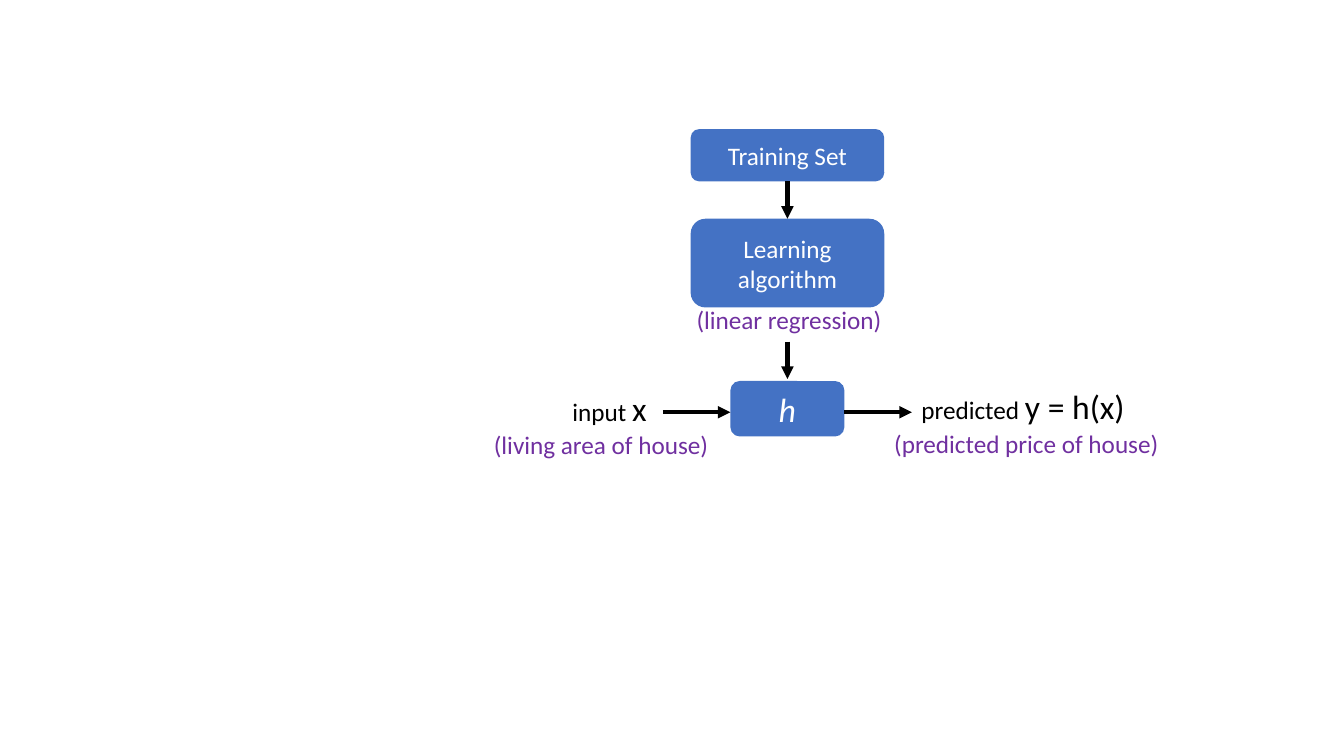
from lxml import etree
from pptx import Presentation
from pptx.dml.color import RGBColor
from pptx.enum import shapes, text
from pptx.oxml import ns
from pptx.util import Inches, Pt

FONT = "Calibri"
BLUE = RGBColor(0x44, 0x72, 0xC4)
PURPLE = RGBColor(0x70, 0x30, 0xA0)
BLACK = RGBColor(0, 0, 0)
WHITE = RGBColor(0xFF, 0xFF, 0xFF)

CENTER_X = 7.81  # axis of the vertical flow
FLOW_Y = 4.09    # axis of the input-to-output flow
ARROW_DOWN = 0.37
ARROW_ACROSS = 0.67

# Boxes: top, width, height, text, size, italic
BOXES = [
    (1.28, 1.92, 0.52, "Training Set", 18, False),
    (2.17, 1.92, 0.88, "Learning algorithm", 18, False),
    (3.78, 1.13, 0.55, "h", 24, True),
]
# Labels: left, top, width, height, colour, runs of (text, size)
LABELS = [
    (6.81, 2.97, 2.31, 0.4, PURPLE, [("(linear regression)", 18)]),
    (5.58, 3.8, 1.37, 0.5, BLACK, [("input ", 18), ("x", 24)]),
    (9.04, 3.78, 2.31, 0.5, BLACK, [("predicted ", 18), ("y = h(x)", 24)]),
    (4.8, 4.21, 2.44, 0.4, PURPLE, [("(living area of house)", 18)]),
    (8.77, 4.2, 2.95, 0.4, PURPLE, [("(predicted price of house)", 18)]),
]
DOWN_ARROW_TOPS = [1.8, 3.39]
HYPOTHESIS_WIDTH = BOXES[-1][1]
ACROSS_ARROW_LEFTS = [
    CENTER_X - HYPOTHESIS_WIDTH / 2 - ARROW_ACROSS,
    CENTER_X + HYPOTHESIS_WIDTH / 2,
]


def add_run(paragraph, words, size, color, italic=False):
    """Append one formatted run to a paragraph."""
    run = paragraph.add_run()
    run.text = words
    run.font.name = FONT
    run.font.size = Pt(size)
    run.font.color.rgb = color
    run.font.italic = italic


def add_box(slide, top, width, height, words, size, italic):
    """Add a rounded box centred on the vertical flow."""
    shape = slide.shapes.add_shape(
        shapes.MSO_SHAPE.ROUNDED_RECTANGLE, Inches(CENTER_X - width / 2),
        Inches(top), Inches(width), Inches(height))
    shape.shadow.inherit = False
    shape.fill.solid()
    shape.fill.fore_color.rgb = BLUE
    shape.line.fill.background()
    frame = shape.text_frame
    frame.word_wrap = True
    frame.vertical_anchor = text.MSO_ANCHOR.MIDDLE
    paragraph = frame.paragraphs[0]
    paragraph.alignment = text.PP_ALIGN.CENTER
    add_run(paragraph, words, size, WHITE, italic)


def add_label(slide, left, top, width, height, color, runs):
    """Add a text label made of runs of different sizes."""
    label = slide.shapes.add_textbox(
        Inches(left), Inches(top), Inches(width), Inches(height))
    frame = label.text_frame
    frame.word_wrap = True
    frame.auto_size = text.MSO_AUTO_SIZE.SHAPE_TO_FIT_TEXT
    for words, size in runs:
        add_run(frame.paragraphs[0], words, size, color)


def add_arrow(slide, left, top, across=0, down=0):
    """Add a straight black arrow of the given extent."""
    arrow = slide.shapes.add_connector(
        shapes.MSO_CONNECTOR.STRAIGHT, Inches(left), Inches(top),
        Inches(left + across), Inches(top + down))
    arrow.line.color.rgb = BLACK
    arrow.line.width = Pt(3)
    etree.SubElement(arrow.line._get_or_add_ln(), ns.qn("a:tailEnd"),
                     type="triangle")
    etree.SubElement(arrow._element.spPr, ns.qn("a:effectLst"))


presentation = Presentation()
presentation.slide_width = Inches(13.33)
presentation.slide_height = Inches(7.5)
slide = presentation.slides.add_slide(presentation.slide_layouts[6])

for label in LABELS:
    add_label(slide, *label)
for box in BOXES:
    add_box(slide, *box)
for top in DOWN_ARROW_TOPS:
    add_arrow(slide, CENTER_X, top, down=ARROW_DOWN)
for left in ACROSS_ARROW_LEFTS:
    add_arrow(slide, left, FLOW_Y, across=ARROW_ACROSS)

presentation.save("out.pptx")
